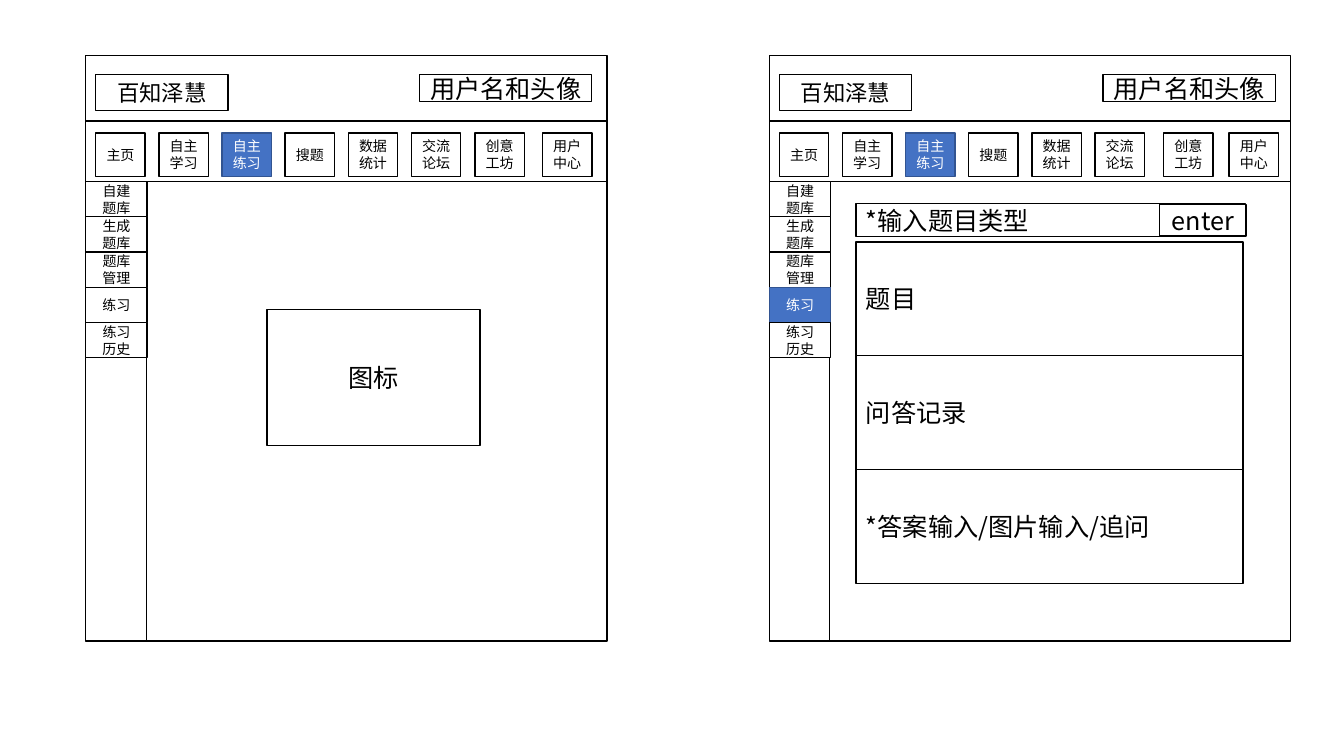
from lxml import etree
from pptx import Presentation
from pptx.dml.color import RGBColor
from pptx.enum.shapes import MSO_CONNECTOR as CONN, MSO_SHAPE as SHAPE
from pptx.enum.text import MSO_ANCHOR as ANCHOR, PP_ALIGN as ALIGN
from pptx.oxml.ns import qn
from pptx.util import Inches, Pt

FONT = "Noto Sans CJK SC"
COLORS = {"white": "FFFFFF", "black": "000000",
          "active": "4472C4", "active_line": "325491"}

PAGE_W, PAGE_H, PAGE_TOP = 5.17, 5.81, 0.55
HEADER_Y, NAV_Y, SIDEBAR_X = 1.2, 1.8, 0.6
NAV_ITEMS = ["主页", "自主学习", "自主练习", "搜题", "数据统计", "交流论坛"]
ACTIVE_NAV = "自主练习"
SIDE_ITEMS = ["自建题库", "生成题库", "题库管理", "练习", "练习历史"]


def rgb(name):
    return RGBColor.from_string(COLORS[name])


def add_box(s, x, y, w, h, text="", size=10, align=ALIGN.CENTER, active=False):
    """Add an outlined rectangle, highlighted when active."""
    sp = s.shapes.add_shape(SHAPE.RECTANGLE, Inches(x), Inches(y), Inches(w), Inches(h))
    sp.shadow.inherit = False
    sp.fill.solid()
    sp.fill.fore_color.rgb = rgb("active" if active else "white")
    sp.line.color.rgb = rgb("active_line" if active else "black")
    sp.line.width = Pt(1)
    if not text:
        return
    tf = sp.text_frame
    tf.word_wrap = True
    tf.vertical_anchor = ANCHOR.MIDDLE
    p = tf.paragraphs[0]
    p.alignment = align
    r = p.add_run()
    r.text = text
    r.font.size = Pt(size)
    r.font.name = FONT
    r.font.color.rgb = rgb("white" if active else "black")
    etree.SubElement(r.font._element, qn("a:ea"), typeface=FONT)


def add_line(s, x1, y1, x2, y2):
    line = s.shapes.add_connector(CONN.STRAIGHT, Inches(x1), Inches(y1),
                                  Inches(x2), Inches(y2))
    line.line.color.rgb = rgb("black")
    line.line.width = Pt(1)
    etree.SubElement(line._element.spPr, qn("a:effectLst"))


def add_page_frame(s, left, workshop_x, user_x, active_side=None):
    """Add the window, header, navigation row and sidebar of one page."""
    add_box(s, left, PAGE_TOP, PAGE_W, PAGE_H)
    for y in (HEADER_Y, NAV_Y):
        add_line(s, left, y, left + PAGE_W, y)
    add_line(s, left + SIDEBAR_X, NAV_Y, left + SIDEBAR_X, PAGE_TOP + PAGE_H)

    add_box(s, left + 0.1, 0.74, 1.31, 0.36, "百知泽慧", 16)
    add_box(s, left + 3.31, 0.74, 1.71, 0.27, "用户名和头像", 18)

    nav = [(0.1 + 3.13 * i / 5, text) for i, text in enumerate(NAV_ITEMS)]
    nav += [(workshop_x, "创意工坊"), (user_x, "用户中心")]
    for x, text in nav:
        add_box(s, left + x, 1.32, 0.49, 0.43, text, active=text == ACTIVE_NAV)

    for i, text in enumerate(SIDE_ITEMS):
        add_box(s, left, NAV_Y + 0.35 * i, 0.61, 0.35, text,
                active=text == active_side)


def add_practice_form(s, left):
    add_box(s, left, 2.02, 3.86, 0.33, "*输入题目类型", 18, ALIGN.LEFT)
    add_box(s, left + 3.01, 2.03, 0.86, 0.31, "enter", 18)
    for i, text in enumerate(["题目", "问答记录", "*答案输入/图片输入/追问"]):
        add_box(s, left, 2.4 + 1.13 * i, 3.84, 1.13, text, 18, ALIGN.LEFT)


def main():
    prs = Presentation()
    prs.slide_width, prs.slide_height = Inches(13.33), Inches(7.5)
    s = prs.slides.add_slide(prs.slide_layouts[6])

    add_page_frame(s, 0.85, workshop_x=3.86, user_x=4.53)
    add_box(s, 2.65, 3.07, 2.11, 1.35, "图标", 18)

    add_page_frame(s, 7.63, workshop_x=3.91, user_x=4.56, active_side="练习")
    add_practice_form(s, 8.49)

    prs.save("out.pptx")


if __name__ == "__main__":
    main()
